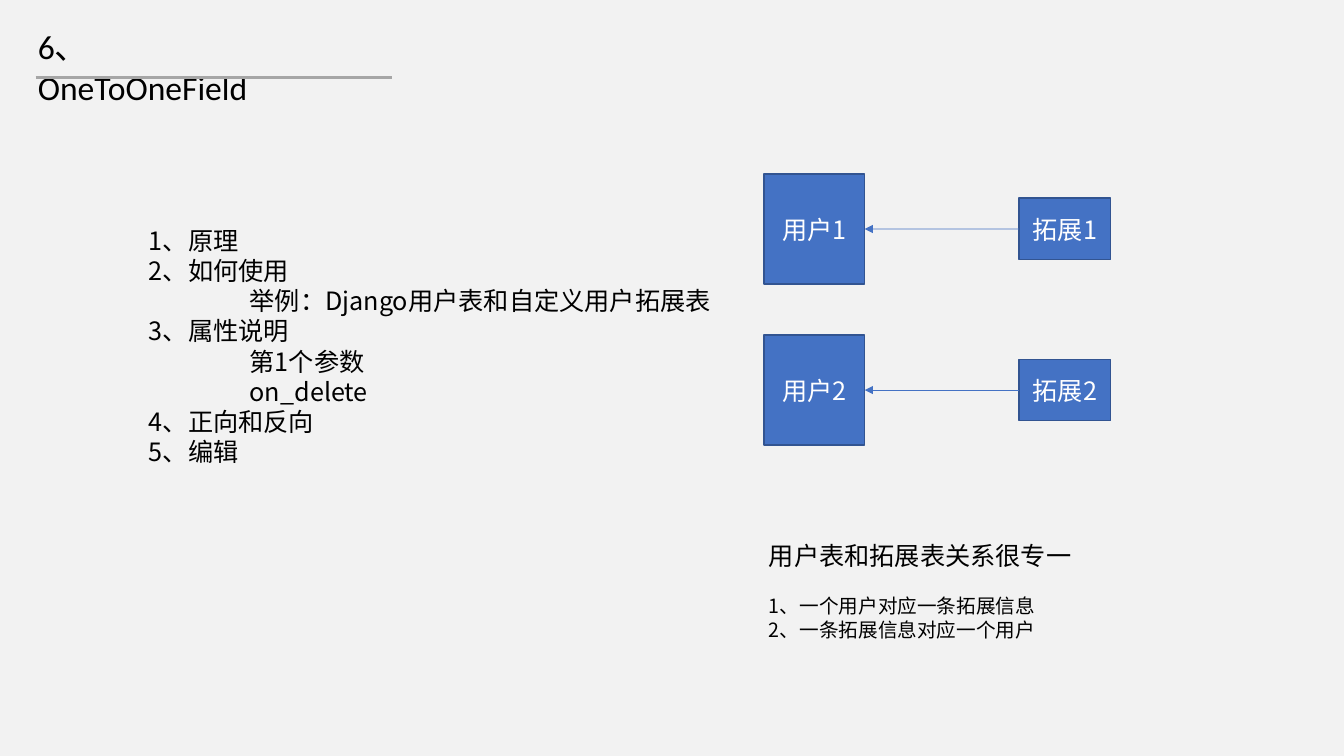
from pptx import Presentation
from pptx import util as u
from pptx.dml.color import RGBColor
from pptx.enum import shapes, text
from pptx.oxml.ns import qn
from lxml import etree

CJK = "Noto Sans CJK SC"
BLUE = "4472C4"


def color(value):
    return RGBColor.from_string(value)


def style(para, size, ink, name=CJK):
    """Set font, size and colour of a paragraph, with no extra spacing."""
    para.font.name = name
    para.font.size = u.Pt(size)
    para.font.color.rgb = color(ink)
    para.line_spacing = 1.0
    para.space_before = u.Pt(0)
    for span in para.runs:
        east_asian = etree.SubElement(span._r.get_or_add_rPr(), qn("a:ea"))
        east_asian.set("typeface", CJK)


deck = Presentation()
deck.slide_width = u.Cm(33.87)
deck.slide_height = u.Cm(19.05)
page = deck.slides.add_slide(deck.slide_layouts[1])
page.background.fill.solid()
page.background.fill.fore_color.rgb = color("F2F2F2")

# Title and its rule
title = page.shapes.title
title.left, title.top, title.width, title.height = u.Cm(0.7), u.Cm(0.53), u.Cm(7.14), u.Cm(1.27)
frame = title.text_frame
frame.text = "6、OneToOneField"
frame.word_wrap = True
frame.auto_size = text.MSO_AUTO_SIZE.NONE
frame.vertical_anchor = text.MSO_ANCHOR.TOP
frame.margin_right = u.Cm(1.2)
frame.paragraphs[0].alignment = text.PP_ALIGN.LEFT
style(frame.paragraphs[0], 24, "000000", "Calibri")

rule = page.shapes.add_connector(
    shapes.MSO_CONNECTOR.STRAIGHT, u.Cm(0.9), u.Cm(1.95), u.Cm(9.88), u.Cm(1.95))
rule.line.color.rgb = color("A6A6A6")
rule.line.width = u.Pt(2.25)
etree.SubElement(rule._element.spPr, qn("a:effectLst"))

# Outline: level and wording
outline = [
    (0, "1、原理"),
    (0, "2、如何使用"),
    (1, "举例：Django用户表和自定义用户拓展表"),
    (0, "3、属性说明"),
    (1, "第1个参数"),
    (1, "on_delete"),
    (0, "4、正向和反向"),
    (0, "5、编辑"),
]
body = page.placeholders[1]
body.left, body.top, body.width, body.height = u.Cm(3.5), u.Cm(5.54), u.Cm(15.14), u.Cm(6.4)
frame = body.text_frame
frame.auto_size = text.MSO_AUTO_SIZE.NONE
frame.text = "\n".join(wording for level, wording in outline)
for para, (level, wording) in zip(frame.paragraphs, outline):
    para.level = level
    style(para, 18, "000000")
    properties = para._p.get_or_add_pPr()
    properties.set("marL", str(u.Cm(2.54 * level)))
    properties.set("indent", "0")
    etree.SubElement(properties, qn("a:buNone"))
    # Bullet settings come before the default run properties
    properties.insert_element_before(properties[-1], "a:defRPr")

# One row per user: user box, extension box and the arrow between them
for number in (1, 2):
    middle = 5.77 + 4.06 * (number - 1)
    boxes = []
    for label, left, width, height in (("用户", 19.25, 2.54, 2.77), ("拓展", 25.68, 2.31, 1.55)):
        box = page.shapes.add_shape(
            shapes.MSO_SHAPE.RECTANGLE,
            u.Cm(left), u.Cm(middle - height / 2), u.Cm(width), u.Cm(height))
        box.shadow.inherit = False
        box.fill.solid()
        box.fill.fore_color.rgb = color(BLUE)
        box.line.color.rgb = color("325491")
        box.line.width = u.Pt(1)
        box.text_frame.text = f"{label}{number}"
        box.text_frame.vertical_anchor = text.MSO_ANCHOR.MIDDLE
        para = box.text_frame.paragraphs[0]
        para.alignment = text.PP_ALIGN.CENTER
        style(para, 18, "FFFFFF")
        boxes.append(box)

    user, extension = boxes
    arrow = page.shapes.add_connector(shapes.MSO_CONNECTOR.STRAIGHT, 0, 0, 0, 0)
    arrow.begin_connect(extension, 1)
    arrow.end_connect(user, 3)
    arrow.line.color.rgb = color(BLUE)
    arrow.line.width = u.Pt(0.5)
    etree.SubElement(arrow.line._get_or_add_ln(), qn("a:tailEnd"), type="triangle")
    etree.SubElement(arrow._element.spPr, qn("a:effectLst"))

# Summary under the diagram
summary = page.shapes.add_textbox(u.Cm(19.13), u.Cm(13.49), u.Cm(8.2), u.Cm(2.82))
frame = summary.text_frame
frame.word_wrap = False
frame.text = "用户表和拓展表关系很专一\n1、一个用户对应一条拓展信息\n2、一条拓展信息对应一个用户"
for para, size in zip(frame.paragraphs, (18, 14, 14)):
    style(para, size, "000000")
frame.paragraphs[1].space_before = u.Pt(17)

deck.save("out.pptx")
